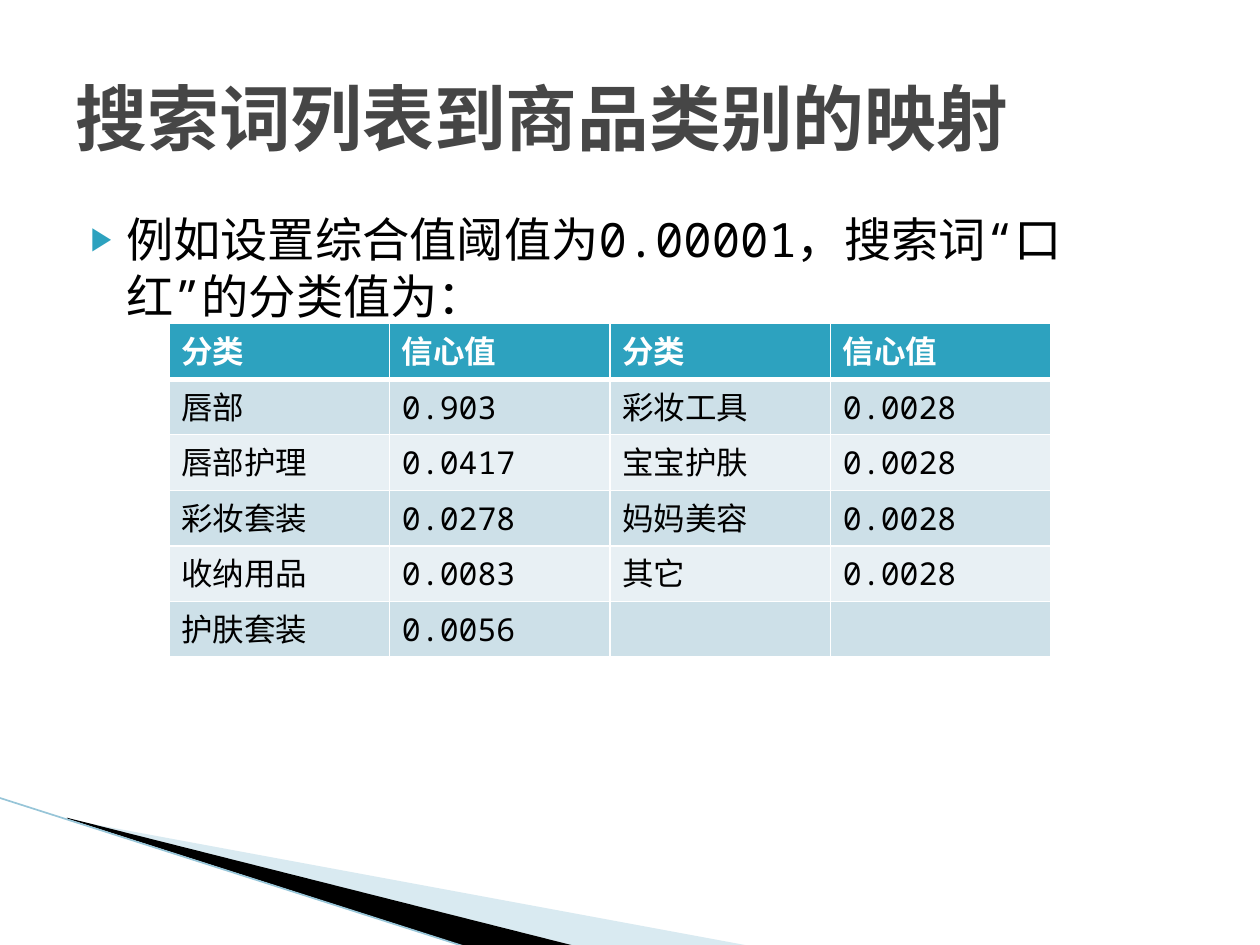
"""Build a slide that maps a search word list to product categories."""
from lxml import etree
from pptx import Presentation
from pptx.dml.color import RGBColor
from pptx.enum.shapes import MSO_CONNECTOR
from pptx.enum.text import MSO_ANCHOR, MSO_AUTO_SIZE, PP_ALIGN
from pptx.oxml.ns import qn
from pptx.util import Pt

STRAIGHT = MSO_CONNECTOR.STRAIGHT
MIDDLE = MSO_ANCHOR.MIDDLE
NO_AUTOFIT = MSO_AUTO_SIZE.NONE
LEFT = PP_ALIGN.LEFT

TITLE = "搜索词列表到商品类别的映射"
BODY = "例如设置综合值阈值为0.00001，搜索词“口红”的分类值为："
ROWS = [
    ("分类", "信心值", "分类", "信心值"),
    ("唇部", "0.903", "彩妆工具", "0.0028"),
    ("唇部护理", "0.0417", "宝宝护肤", "0.0028"),
    ("彩妆套装", "0.0278", "妈妈美容", "0.0028"),
    ("收纳用品", "0.0083", "其它", "0.0028"),
    ("护肤套装", "0.0056", "", ""),
]
FONT = "Noto Sans Mono"
COLORS = {
    "title": "464646", "text": "000000", "accent": "2DA2BF", "white": "FFFFFF",
    "odd": "CDE0E8", "even": "E8F0F4", "pale": "A0CBDC", "edge": "97C5D8",
}
WEDGES = [
    ("pale", 40, [(39.6, 468.5), (428.4, 540.5), (328.3, 540.5), (39.6, 468)]),
    ("text", 100, [(38.2, 467.3), (329, 540.7), (267.8, 541.4), (38.9, 468)]),
]
EDGE = (-0.7, 455.8, 267.1, 541.4)
TITLE_AREA = (36, 21.6, 648, 90)
BODY_AREA = (36, 116.6, 648, 356.4)
TABLE_LEFT, TABLE_TOP = 96.5, 185
COLUMN_WIDTH, ROW_HEIGHT = 126, 30.24


def color(name):
    return RGBColor.from_string(COLORS[name])


def add_element(parent, tag, **attributes):
    return etree.SubElement(parent, qn(tag), attributes)


def add_text(para, text, size, color_name, bold=False):
    span = para.add_run()
    span.text = text
    span.font.size = Pt(size)
    span.font.bold = bold
    span.font.name = FONT
    span.font.color.rgb = color(color_name)
    add_element(span.font._element, "a:ea", typeface=FONT)


def place(box, area):
    box.left, box.top, box.width, box.height = map(Pt, area)
    box.text_frame.word_wrap = True
    box.text_frame.auto_size = NO_AUTOFIT
    return box.text_frame.paragraphs[0]


def add_wedge(slide, color_name, opacity, points):
    corners = [(Pt(x), Pt(y)) for x, y in points]
    builder = slide.shapes.build_freeform(*corners[0])
    builder.add_line_segments(corners[1:])
    wedge = builder.convert_to_shape()
    wedge.shadow.inherit = False
    wedge.fill.solid()
    wedge.fill.fore_color.rgb = color(color_name)
    wedge.line.fill.background()
    if opacity < 100:
        shade = wedge._element.spPr.find(".//" + qn("a:srgbClr"))
        add_element(shade, "a:alpha", val=str(opacity * 1000))


def add_edge(slide):
    edge = slide.shapes.add_connector(STRAIGHT, *map(Pt, EDGE))
    edge.line.color.rgb = color("edge")
    edge.line.width = Pt(0.95)
    add_element(edge._element.spPr, "a:effectLst")


def add_title(slide):
    title = slide.shapes.title
    para = place(title, TITLE_AREA)
    title.text_frame.vertical_anchor = MIDDLE
    para.alignment = LEFT
    add_text(para, TITLE, 41, "title", True)


def add_body(slide):
    para = place(slide.placeholders[1], BODY_AREA)
    para.space_before = Pt(4)
    properties = para._p.get_or_add_pPr()
    properties.set("marL", str(Pt(28.8)))
    properties.set("indent", str(Pt(-20.16)))
    bullet_color = add_element(properties, "a:buClr")
    add_element(bullet_color, "a:srgbClr", val=COLORS["accent"])
    add_element(properties, "a:buSzPct", val="68000")
    add_element(properties, "a:buChar", char="▶")
    add_text(para, BODY, 27, "text")


def add_borders(cell, bottom_width):
    properties = cell._tc.get_or_add_tcPr()
    widths = {"a:lnL": 1, "a:lnR": 1, "a:lnT": 1, "a:lnB": bottom_width}
    for position, (tag, width) in enumerate(widths.items()):
        border = add_element(properties, tag, w=str(Pt(width)))
        fill = add_element(border, "a:solidFill")
        add_element(fill, "a:srgbClr", val=COLORS["white"])
        properties.insert(position, border)


def add_category_table(slide):
    row_count, column_count = len(ROWS), len(ROWS[0])
    table = slide.shapes.add_table(
        row_count, column_count, Pt(TABLE_LEFT), Pt(TABLE_TOP),
        Pt(COLUMN_WIDTH * column_count), Pt(ROW_HEIGHT * row_count)).table
    for row_index, row in enumerate(ROWS):
        header = row_index == 0
        fill_name = "accent" if header else ("even", "odd")[row_index % 2]
        for column_index, text in enumerate(row):
            cell = table.cell(row_index, column_index)
            cell.fill.solid()
            cell.fill.fore_color.rgb = color(fill_name)
            add_borders(cell, 3 if header else 1)
            if text:
                add_text(cell.text_frame.paragraphs[0], text, 18,
                         "white" if header else "text", header)


def main():
    deck = Presentation()
    deck.slide_width, deck.slide_height = Pt(720), Pt(540)
    slide = deck.slides.add_slide(deck.slide_layouts[1])
    for wedge in WEDGES:
        add_wedge(slide, *wedge)
    add_edge(slide)
    add_body(slide)
    add_title(slide)
    add_category_table(slide)
    deck.save("out.pptx")


if __name__ == "__main__":
    main()
